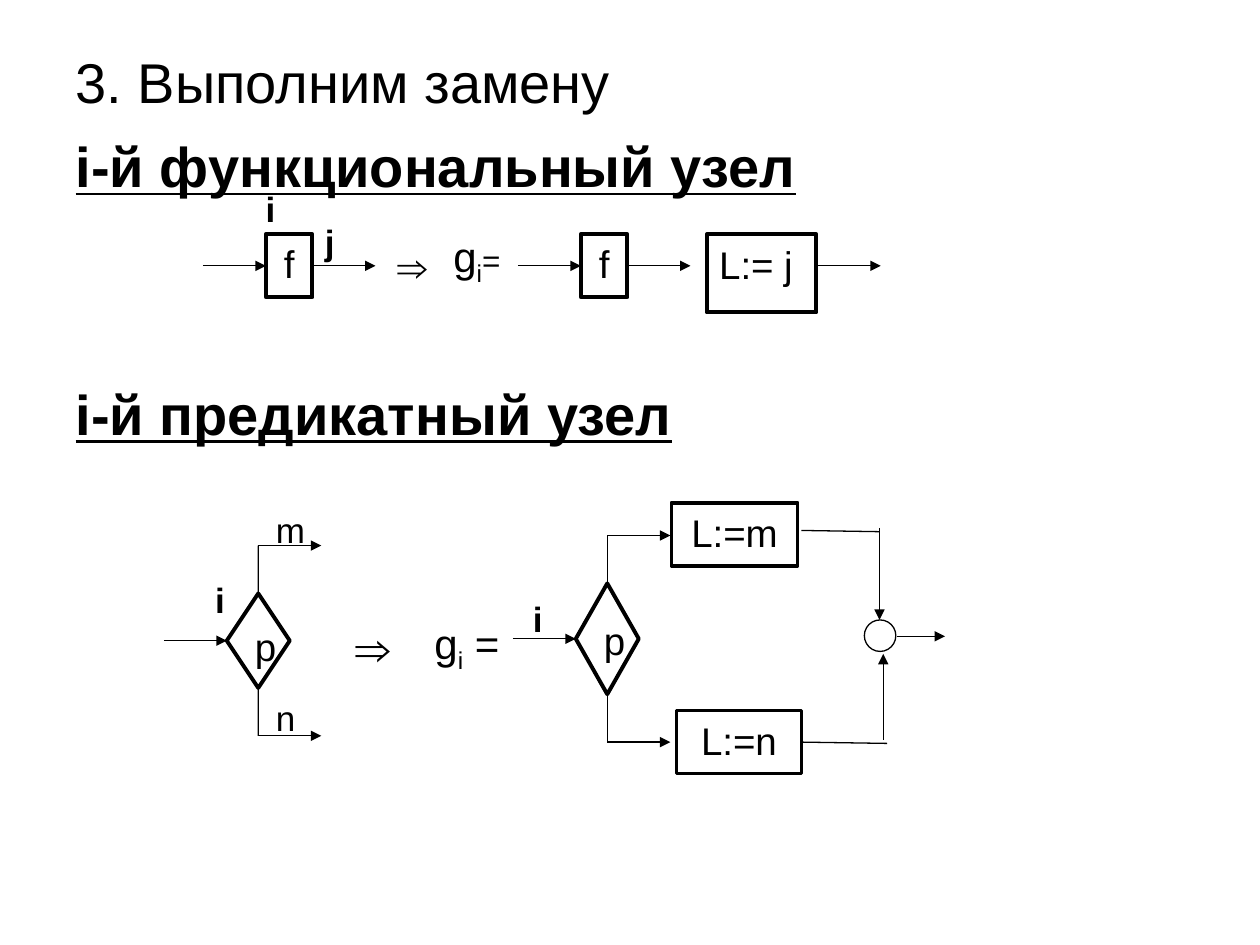
from lxml import etree
from pptx import Presentation
from pptx.dml.color import RGBColor
from pptx.enum.shapes import MSO_CONNECTOR, MSO_SHAPE
from pptx.enum.text import MSO_ANCHOR, MSO_AUTO_SIZE, PP_ALIGN
from pptx.oxml.ns import qn
from pptx.util import Inches, Pt

BLACK = RGBColor(0x00, 0x00, 0x00)
WHITE = RGBColor(0xFF, 0xFF, 0xFF)
FONT = "Arial"
STRAIGHT = MSO_CONNECTOR.STRAIGHT
RECTANGLE = MSO_SHAPE.RECTANGLE
DECISION = MSO_SHAPE.FLOWCHART_DECISION
OVAL = MSO_SHAPE.OVAL
TOP = MSO_ANCHOR.TOP
NO_AUTOFIT = MSO_AUTO_SIZE.NONE
LEFT, CENTER = PP_ALIGN.LEFT, PP_ALIGN.CENTER
SIDE_TOP, SIDE_LEFT, SIDE_BOTTOM, SIDE_RIGHT = range(4)
STEP = 0.5  # length of an ordinary arrow


def format_run(run, size, bold=False, underline=False):
    run.font.name = FONT
    run.font.size = Pt(size)
    run.font.bold = bold
    run.font.underline = underline
    run.font.color.rgb = BLACK


def add_label(slide, box, parts, bold=False):
    """Text box whose parts are (text, size, baseline shift in percent)."""
    label = slide.shapes.add_textbox(*map(Inches, box))
    label.text_frame.word_wrap = True
    paragraph = label.text_frame.paragraphs[0]
    for text, size, shift in parts:
        run = paragraph.add_run()
        run.text = text
        format_run(run, size, bold)
        if shift:
            run.font._element.set("baseline", str(shift * 1000))


def add_block(slide, kind, box, text="", width=2.25, alignment=CENTER):
    shape = slide.shapes.add_shape(kind, *map(Inches, box))
    shape.shadow.inherit = False
    shape.fill.solid()
    shape.fill.fore_color.rgb = WHITE
    shape.line.color.rgb = BLACK
    shape.line.width = Pt(width)
    if text:
        shape.text_frame.text = text
        shape.text_frame.vertical_anchor = TOP
        paragraph = shape.text_frame.paragraphs[0]
        paragraph.alignment = alignment
        format_run(paragraph.runs[0], 22)
    return shape


def add_line(slide, start, end, arrow=True, source=None, target=None):
    """Line between two points; source and target are (shape, side) joins."""
    line = slide.shapes.add_connector(STRAIGHT, *map(Inches, (*start, *end)))
    line.line.color.rgb = BLACK
    line.line.width = Pt(0.75)
    if arrow:
        outline = line.line._get_or_add_ln()
        etree.SubElement(outline, qn("a:tailEnd"), type="triangle")
    etree.SubElement(line._element.spPr, qn("a:effectLst"))
    if source:
        line.begin_connect(*source)
    if target:
        line.end_connect(*target)


def add_headings(slide, box):
    body = slide.placeholders[1]
    body.left, body.top, body.width, body.height = map(Inches, box)
    frame = body.text_frame
    frame.auto_size = NO_AUTOFIT
    frame.vertical_anchor = TOP
    frame.margin_top = Inches(0.1)
    # Space before the last heading leaves room for the first diagram
    headings = (
        ("3. Выполним замену", 0, False),
        ("i-й функциональный узел", 9.6, True),
        ("i-й предикатный узел", 102.8, True),
    )
    frame.text = "\n".join(text for text, _, _ in headings)
    for paragraph, (_, space, strong) in zip(frame.paragraphs, headings):
        paragraph.space_before = Pt(space)
        properties = paragraph._p.get_or_add_pPr()
        properties.set("marL", "0")
        properties.set("indent", "0")
        etree.SubElement(properties, qn("a:buNone"))
        format_run(paragraph.runs[0], 32, strong, strong)


def add_function_node(slide, left, top):
    """Square f with an arrow in and an arrow out."""
    middle = top + 0.25
    right = left + 0.37
    node = add_block(slide, RECTANGLE, (left, top, 0.37, 0.5), "f")
    add_line(slide, (left - STEP, middle), (left, middle),
             target=(node, SIDE_LEFT))
    add_line(slide, (right, middle), (right + STEP, middle),
             source=(node, SIDE_RIGHT))


def add_functional_diagram(slide, left, top):
    row = top + 0.42
    # Node before and after the replacement
    for offset in (0.5, 3):
        add_function_node(slide, left + offset, row)
    # Assignment of the next label
    add_block(slide, RECTANGLE, (left + 4, row, 0.87, 0.62), "L:= j",
              alignment=LEFT)
    add_line(slide, (left + 4.88, row + 0.25), (left + 5.38, row + 0.25))
    # Labels
    add_label(slide, (left + 0.4, top, 0.3, 0.44), [("i", 20, 0)], True)
    add_label(slide, (left + 0.87, top + 0.26, 0.39, 0.44),
              [("j", 20, 0)], True)
    add_label(slide, (left + 1.45, row, 0.5, 0.5), [("⇒", 24, 0)], True)
    add_label(slide, (left + 1.89, top + 0.34, 0.63, 0.56),
              [("g", 24, 0), ("i", 24, -25), ("=", 18, 0)])


def add_decision(slide, box, reach):
    """Diamond p whose two branches rise and fall by reach, then go right."""
    left, top, width, height = box
    axis, middle, bottom = left + width / 2, top + height / 2, top + height
    node = add_block(slide, DECISION, box, "p", alignment=LEFT)
    add_line(slide, (left - STEP, middle), (left, middle),
             target=(node, SIDE_LEFT))
    for side, start, end in ((SIDE_TOP, top, top - reach),
                             (SIDE_BOTTOM, bottom, bottom + reach)):
        add_line(slide, (axis, start), (axis, end), False, (node, side))
        add_line(slide, (axis, end), (axis + STEP, end))


def add_predicate_diagram(slide, left, top):
    # Node before and after the replacement
    add_decision(slide, (left + 0.5, top + 0.72, 0.5, 0.75), 0.38)
    add_decision(slide, (left + 3.27, top + 0.64, 0.5, 0.88), 0.38)
    # Assignments on both branches
    add_block(slide, RECTANGLE, (left + 4.03, top, 1, 0.5), "L:=m")
    lower = add_block(slide, RECTANGLE, (left + 4.07, top + 1.65, 0.99, 0.5),
                      "L:=n", 1.5)
    # Branches meet in the circle
    add_line(slide, (left + 5.06, top + 0.22), (left + 5.68, top + 0.23),
             False)
    add_line(slide, (left + 5.06, top + 1.9), (left + 5.74, top + 1.91),
             False, (lower, SIDE_RIGHT))
    add_line(slide, (left + 5.68, top + 0.2), (left + 5.68, top + 0.93))
    add_line(slide, (left + 5.71, top + 1.88), (left + 5.71, top + 1.2))
    add_block(slide, OVAL, (left + 5.56, top + 0.93, 0.25, 0.25), width=0.75)
    add_line(slide, (left + 5.82, top + 1.06), (left + 6.2, top + 1.06))
    # Labels
    for text, x, y, bold in (("i", 0.31, 0.55, True), ("m", 0.79, 0, False),
                             ("n", 0.79, 1.49, False), ("i", 2.83, 0.7, True)):
        add_label(slide, (left + x, top + y, 0.39, 0.44),
                  [(text, 20, 0)], bold)
    add_label(slide, (left + 1.42, top + 0.86, 0.63, 0.57),
              [("⇒", 28, 0)], True)
    add_label(slide, (left + 2.05, top + 0.86, 0.87, 0.56),
              [("g", 24, 0), ("i", 24, -25), (" =", 24, 0)])


def main():
    presentation = Presentation()
    presentation.slide_width = Inches(10)
    presentation.slide_height = Inches(7.5)
    slide = presentation.slides.add_slide(presentation.slide_layouts[1])
    title = slide.shapes.title._element
    title.getparent().remove(title)
    add_headings(slide, (0.5, 0.28, 9, 6.41))
    add_functional_diagram(slide, 1.61, 1.44)
    add_predicate_diagram(slide, 1.3, 3.99)
    presentation.save("out.pptx")


if __name__ == "__main__":
    main()
